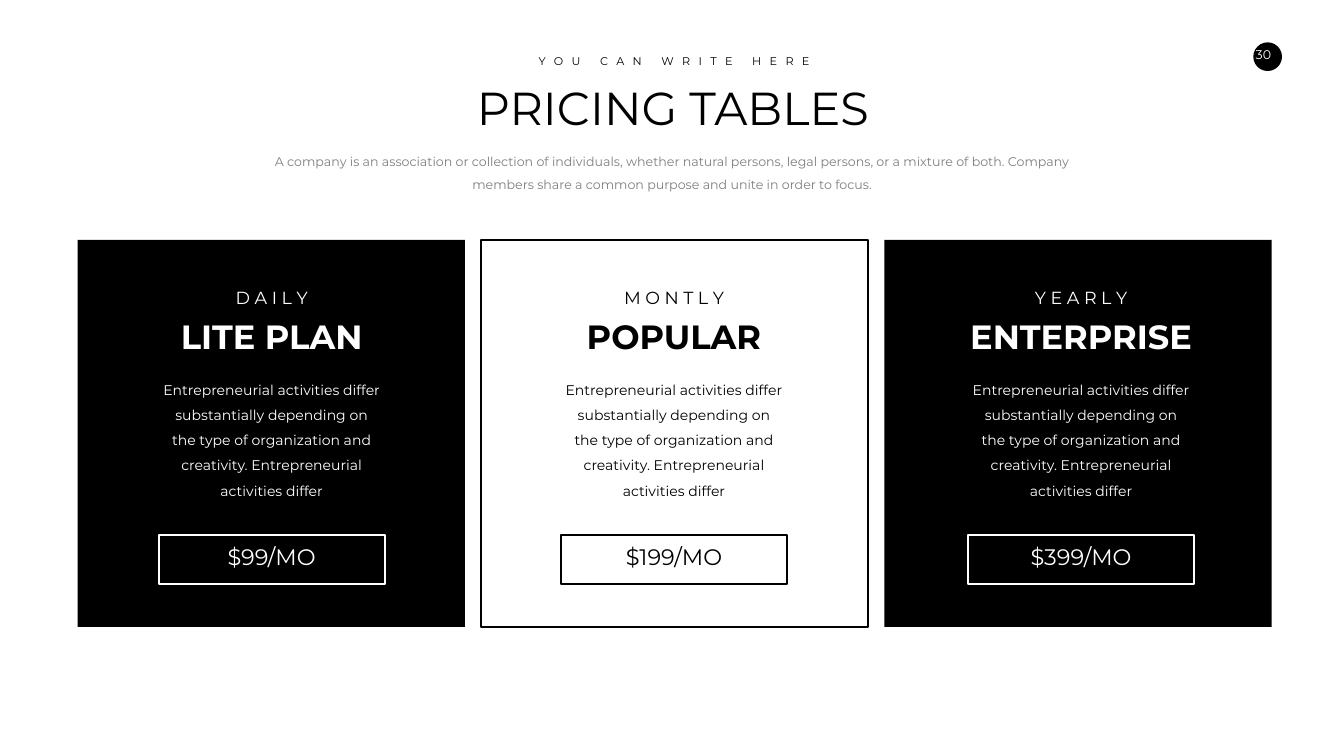
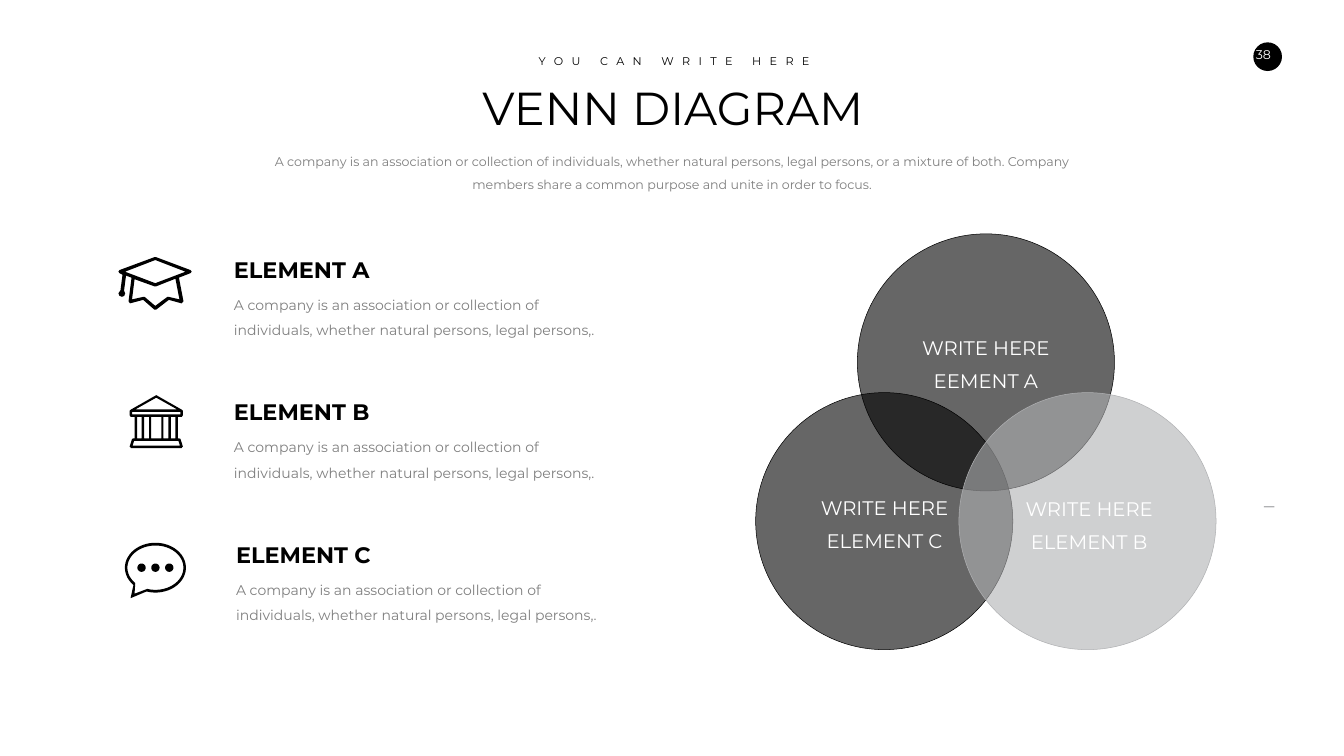
import dataclasses
import math

import lxml.etree
import pptx
import pptx.dml.color
import pptx.enum.shapes
import pptx.enum.text
import pptx.oxml.ns
import pptx.util

Pt = pptx.util.Pt
SHAPES = pptx.enum.shapes.MSO_SHAPE
CENTER = pptx.enum.text.PP_ALIGN.CENTER
LEFT = pptx.enum.text.PP_ALIGN.LEFT


@dataclasses.dataclass(frozen=True)
class Theme:
    font: str = "Montserrat"
    black: str = "000000"
    white: str = "FFFFFF"
    gray: str = "7F7F7F"
    silver: str = "B0B1B3"
    kicker: int = 16
    small: int = 18
    body: int = 20
    period: int = 25
    label: int = 28
    heading: int = 32
    plan: int = 48
    title: int = 66


theme = Theme()


def paint(shape, fill=None, line=None, width=3, opacity=None):
    """Fill and outline a shape; None leaves that part empty."""
    shape.shadow.inherit = False
    if fill:
        shape.fill.solid()
        shape.fill.fore_color.rgb = pptx.dml.color.RGBColor.from_string(fill)
    else:
        shape.fill.background()
    if line:
        shape.line.color.rgb = pptx.dml.color.RGBColor.from_string(line)
        shape.line.width = Pt(width)
    else:
        shape.line.fill.background()
    if opacity:
        color = shape._element.spPr.find(pptx.oxml.ns.qn("a:solidFill"))[0]
        alpha = lxml.etree.SubElement(color, pptx.oxml.ns.qn("a:alpha"))
        alpha.set("val", str(opacity * 1000))


def add_text(slide, box, lines, size, color, bold=False, align=CENTER, spacing=1.0, wrap=True):
    """Add a text box with one paragraph for each line and return it."""
    shape = slide.shapes.add_textbox(*map(Pt, box))
    frame = shape.text_frame
    frame.word_wrap = wrap
    for index, line in enumerate(lines):
        paragraph = frame.paragraphs[0] if index == 0 else frame.add_paragraph()
        paragraph.alignment = align
        paragraph.line_spacing = spacing
        run = paragraph.add_run()
        run.text = line
        font_format = {"name": theme.font, "size": Pt(size), "bold": bold}
        for name, value in font_format.items():
            setattr(run.font, name, value)
        run.font.color.rgb = pptx.dml.color.RGBColor.from_string(color)
    return shape


presentation = pptx.Presentation()
presentation.slide_width = Pt(1919.52)
presentation.slide_height = Pt(1080)

# Shared header and page badge
intro = (
    "A company is an association or collection of individuals, whether natural persons, "
    "legal persons, or a mixture of both. Company members share a common purpose and "
    "unite in order to focus."
)
slides = []
for title, page in (("PRICING TABLES", "30"), ("VENN DIAGRAM", "38")):
    slide = presentation.slides.add_slide(presentation.slide_layouts[6])
    slides.append(slide)
    badge = slide.shapes.add_shape(SHAPES.OVAL, Pt(1790), Pt(60.5), Pt(41), Pt(41))
    paint(badge, theme.black)
    number = add_text(slide, (1778.4, 60.5, 62, 36), [page], theme.small, theme.white, wrap=False)
    margins = {"margin_left": 10, "margin_right": 20, "margin_top": 7.2, "margin_bottom": 7.2}
    for name, value in margins.items():
        setattr(number.text_frame, name, Pt(value))
    add_text(slide, (634, 109.4, 654, 87), [title], theme.title, theme.black)
    kicker = add_text(
        slide, (755, 73.4, 416, 26.6), ["YOU CAN WRITE HERE"], theme.kicker, theme.black, wrap=False
    )
    kicker.text_frame.paragraphs[0].runs[0]._r.get_or_add_rPr().set("spc", "1200")
    add_text(slide, (383, 206, 1154, 72.7), [intro], theme.small, theme.gray, spacing=1.5)
pricing, venn = slides

# Pricing cards: centre of the content, fill, ink, then each text with its box width
plan_text = (
    "Entrepreneurial activities differ substantially depending on the type of organization "
    "and creativity. Entrepreneurial activities differ"
)
plans = (
    (388, theme.black, theme.white, ("D A I L Y", 119), ("LITE PLAN", 284), ("$99/MO", 197)),
    (962.6, None, theme.black, ("M O N T L Y", 158), ("POPULAR", 272), ("$199/MO", 240)),
    (1544, theme.black, theme.white, ("Y E A R L Y", 148), ("ENTERPRISE", 351), ("$399/MO", 214)),
)
card_left, card_top, card_size, card_step = 111, 342.7, 553, 576
button_width = 323
for index, (center, fill, ink, period, plan, price) in enumerate(plans):
    card = pricing.shapes.add_shape(
        SHAPES.RECTANGLE, Pt(card_left + index * card_step), Pt(card_top), Pt(card_size), Pt(card_size)
    )
    paint(card, fill, None if fill else ink)
    button = pricing.shapes.add_shape(
        SHAPES.RECTANGLE, Pt(center - button_width / 2), Pt(764), Pt(button_width), Pt(70.5)
    )
    paint(button, line=ink)
    rows = (
        (period, 406, 37.4, theme.period, False, 1.0),
        (plan, 447.8, 65.5, theme.plan, True, 1.0),
        ((plan_text, 327.6), 529.2, 183.6, theme.body, False, 1.5),
        (price, 772.6, 46, theme.heading, False, 1.0),
    )
    for (text, width), top, height, size, bold, spacing in rows:
        box = (center - width / 2, top, width, height)
        add_text(pricing, box, [text], size, ink, bold, spacing=spacing)

# Venn circles and their labels
diameter = 367.2
for left, top, color in (
    (1079.3, 560.9, theme.black),
    (1224.5, 334.1, theme.black),
    (1369.6, 560.9, theme.silver),
):
    circle = venn.shapes.add_shape(SHAPES.OVAL, Pt(left), Pt(top), Pt(diameter), Pt(diameter))
    paint(circle, color, color, 0.75, 60)
dash = venn.shapes.add_shape(SHAPES.ROUNDED_RECTANGLE, Pt(1805), Pt(723), Pt(15), Pt(1.8))
paint(dash, theme.silver)
for left, top, name in (
    (1278.7, 463, "EEMENT A"),
    (1426.3, 693.4, "ELEMENT B"),
    (1134, 692, "ELEMENT C"),
):
    add_text(venn, (left, top, 258.5, 102.2), ["WRITE HERE", name], theme.label, theme.white, spacing=1.4)

# Element list
element_text = (
    "A company is an association or collection of individuals, whether natural persons, legal persons,."
)
for index, (name, left) in enumerate((("ELEMENT A", 327), ("ELEMENT B", 327), ("ELEMENT C", 330))):
    top = 362.2 + index * 203.4
    add_text(venn, (left, top, 412.6, 46), [name], theme.heading, theme.black, True, LEFT)
    add_text(
        venn, (left, top + 46, 537, 80), [element_text], theme.body, theme.gray, align=LEFT, spacing=1.5
    )

# Icons: outer outline first, then the cut-outs; offsets from the top centre
cap = [
    [
        (0, 0), (1.5, 0.3), (50.4, 18.7), (52, 21), (50.4, 23), (33.8, 29.5), (40.3, 63.4), (37.4, 66.2),
        (19.4, 61.2), (1.5, 75), (-1.5, 75), (-17.3, 61.2), (-36, 66.2), (-38.2, 63.4), (-33.9, 29.5),
        (-41.8, 26.6), (-44.6, 48.2), (-43, 52), (-44.3, 55.4), (-47.5, 56.9), (-51.2, 55.4),
        (-52.6, 51.8), (-49.7, 47.5), (-46.8, 25.2), (-51.2, 23), (-52.6, 21), (-51.2, 18.7), (-1.5, 0.3),
    ],
    [(0, 37.4), (-43.2, 21), (0, 4.3), (43.2, 21)],
    [
        (34.5, 60.5), (19.4, 57), (17.2, 57), (0, 69.8), (-15.2, 57), (-17.3, 57),
        (-33.2, 60.5), (-29.6, 31.7), (-1.5, 41.8), (1.5, 41.8), (28.8, 31),
    ],
]
museum_halves = (
    [
        (0, 0), (36.7, 20.9), (38, 22.3), (38, 28.8), (36.5, 31), (31, 31),
        (31, 61.9), (33, 61.9), (34.6, 62.6), (38, 73.4), (36, 75.6),
    ],
    [(0, 3.6), (29.5, 20.2)],
    [(34.6, 23.8), (34.6, 27.4)],
    [(31.7, 65.5), (33.8, 72)],
)
museum = [half + [(-x, y) for x, y in reversed(half)] for half in museum_halves]
for start, end in ((-27.4, -20.9), (-17.3, -10.1), (-7.2, 7.2), (10.1, 17.3), (20.9, 27.4)):
    museum.append([(start, 31), (end, 31), (end, 61.9), (start, 61.9)])

bubble = []
for center, radius_x, radius_y, start, end, tail in (
    (0, 43.6, 35.6, 136, 467, [(-35.5, 79.2)]),
    (0, 40, 31.7, 136, 467, [(-29.8, 72.8)]),
    (-19.8, 5.9, 5.9, 0, 350, []),
    (0, 5.9, 5.9, 0, 350, []),
    (19.8, 5.9, 5.9, 0, 350, []),
):
    angles = [math.radians(start + (end - start) * step / 48) for step in range(49)]
    arc = [(center + radius_x * math.cos(a), 35.6 + radius_y * math.sin(a)) for a in angles]
    bubble.append(arc + tail)

for center, top, contours in ((221.8, 367.2, cap), (223.2, 564.5, museum), (222, 775.4, bubble)):
    builder = None
    for contour in contours:
        points = [(Pt(center + x), Pt(top + y)) for x, y in contour]
        if builder is None:
            builder = venn.shapes.build_freeform(*points[0])
        else:
            builder.move_to(*points[0])
        builder.add_line_segments(points[1:], close=True)
    paint(builder.convert_to_shape(), theme.black)

presentation.save("out.pptx")
